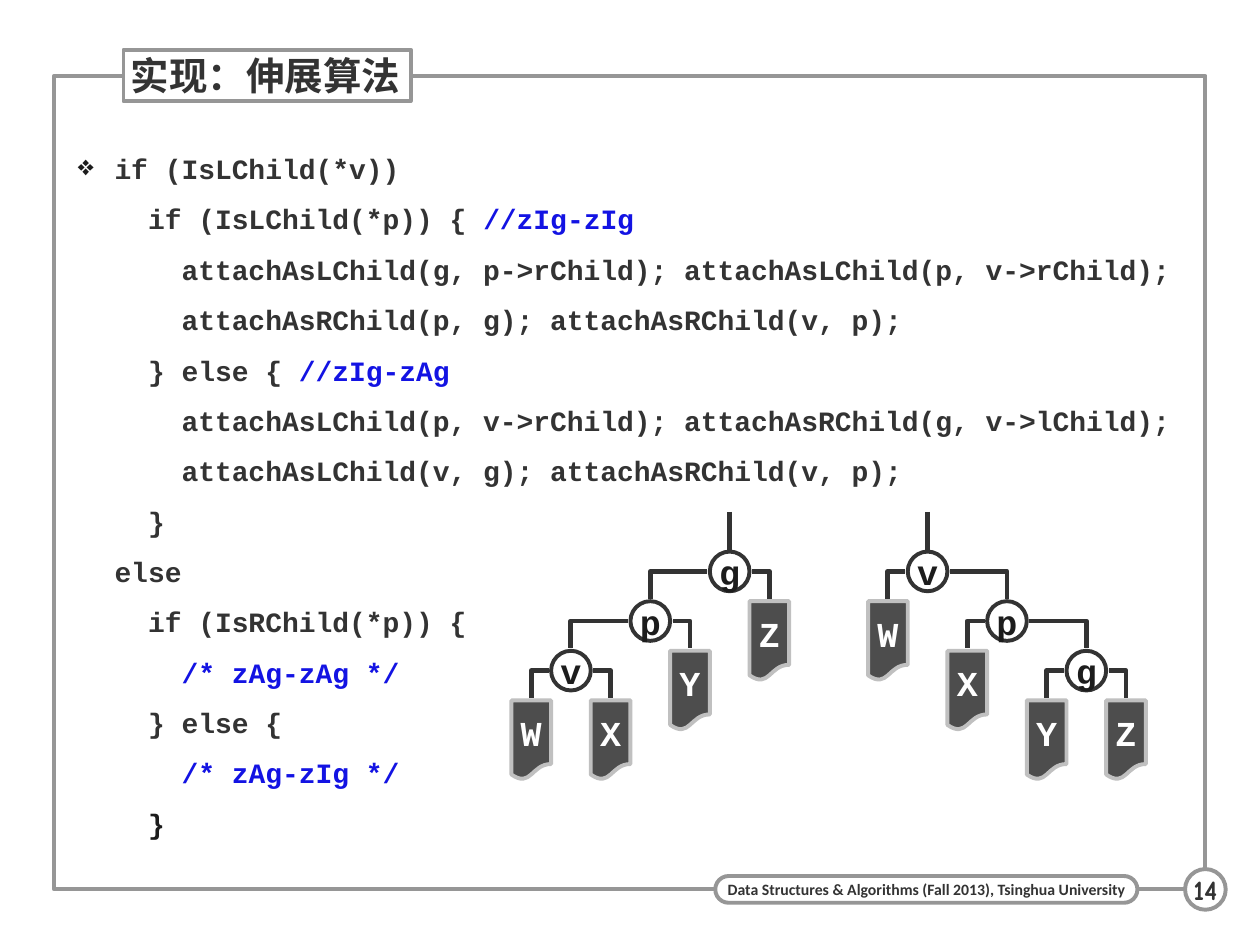
from copy import deepcopy

from lxml import etree
from pptx import Presentation
from pptx.dml.color import RGBColor
from pptx.enum.shapes import MSO_CONNECTOR, MSO_SHAPE
from pptx.enum.text import MSO_ANCHOR, PP_ALIGN
from pptx.oxml.ns import qn
from pptx.util import Cm, Pt

RECTANGLE, ROUNDED = MSO_SHAPE.RECTANGLE, MSO_SHAPE.ROUNDED_RECTANGLE
OVAL, DOCUMENT = MSO_SHAPE.OVAL, MSO_SHAPE.FLOWCHART_DOCUMENT
STRAIGHT, ELBOW = MSO_CONNECTOR.STRAIGHT, MSO_CONNECTOR.ELBOW
LEFT, CENTER, MIDDLE = PP_ALIGN.LEFT, PP_ALIGN.CENTER, MSO_ANCHOR.MIDDLE

COLORS = {
    "paper": "FFFFFF", "frame": "969696", "text": "333333", "ink": "1C1C1C",
    "comment": "1313E3", "leaf": "4D4D4D", "leaf_edge": "C0C0C0",
}
CODE_FONT = "Courier New"

# Code as (text, colour) pieces
CODE = [
    ("if (IsLChild(*v))\n  if (IsLChild(*p)) { ", "text"),
    ("//zIg-zIg\n", "comment"),
    ("    attachAsLChild(g, p->rChild); attachAsLChild(p, v->rChild);\n"
     "    attachAsRChild(p, g); attachAsRChild(v, p);\n"
     "  } else { ", "text"),
    ("//zIg-zAg\n", "comment"),
    ("    attachAsLChild(p, v->rChild); attachAsRChild(g, v->lChild);\n"
     "    attachAsLChild(v, g); attachAsRChild(v, p);\n"
     "  }\nelse\n  if (IsRChild(*p)) {\n    ", "text"),
    ("/* zAg-zAg */\n", "comment"),
    ("  } else {\n    ", "text"),
    ("/* zAg-zIg */\n", "comment"),
    ("  }", "ink"),
]

# Trees as (node, left, right); a plain string is a subtree leaf
TREE_BEFORE = ("g", ("p", ("v", "W", "X"), "Y"), "Z")
TREE_AFTER = ("v", "W", ("p", "X", ("g", "Y", "Z")))
COLUMN, ROW = 0.8, 1.0      # tree grid, in cm
NODE, LEAF_HEIGHT = 0.8, 1.6
STEM = 1.2


def color(name):
    return RGBColor.from_string(COLORS[name])


def add_run(paragraph, text, size, font, color_name):
    run = paragraph.add_run()
    run.text = text
    run.font.size, run.font.name, run.font.bold = Pt(size), font, True
    run.font.color.rgb = color(color_name)
    return run


def add_box(slide, kind, box, fill, line):
    shape = slide.shapes.add_shape(kind, *(Cm(length) for length in box))
    shape.shadow.inherit = False
    if fill:
        shape.fill.solid()
        shape.fill.fore_color.rgb = color(fill)
    else:
        shape.fill.background()
    shape.line.color.rgb = color(line)
    shape.line.width = Pt(2.25)
    return shape


def add_label(shape, text, size, font, color_name, align=CENTER, margin=0):
    frame = shape.text_frame
    frame.margin_left = frame.margin_right = Cm(margin)
    frame.margin_top = frame.margin_bottom = 0
    frame.vertical_anchor = MIDDLE
    frame.word_wrap = False
    paragraph = frame.paragraphs[0]
    paragraph.alignment = align
    add_run(paragraph, text, size, font, color_name)


def add_line(slide, kind, start, end):
    connector = slide.shapes.add_connector(
        kind, *(Cm(length) for length in (*start, *end)))
    connector.line.color.rgb = color("text")
    connector.line.width = Pt(2.75)
    properties = connector._element.spPr
    etree.SubElement(properties, qn("a:effectLst"))
    if kind == ELBOW:   # a single corner: across, then down
        properties.find(qn("a:prstGeom")).set("prst", "bentConnector2")


def add_frame(slide, left, top, width, height):
    add_box(slide, RECTANGLE, (left, top, width, height), None, "frame")
    right, bottom = left + width, top + height
    # Title on the top edge
    title = add_box(slide, RECTANGLE, (left + 1.4, top - 0.53, 5.79, 1.04),
                    "paper", "frame")
    add_label(title, "实现：伸展算法", 22, CODE_FONT, "text", LEFT, 0.15)
    # Course name and page number on the bottom edge
    course = add_box(slide, ROUNDED, (right - 9.88, bottom - 0.27, 8.51, 0.54),
                     "paper", "frame")
    course.adjustments[0] = 0.5
    add_label(course, "Data Structures & Algorithms (Fall 2013), Tsinghua University",
              9, "Calibri", "text")
    page = add_box(slide, OVAL, (right - 0.41, bottom - 0.41, 0.82, 0.82),
                   "paper", "frame")
    add_label(page, "14", 16, "Comic Neue", "text")


def add_code(slide, left, top, width, height):
    box = slide.shapes.add_textbox(Cm(left), Cm(top), Cm(width), Cm(height))
    frame = box.text_frame
    frame.word_wrap = True
    frame.margin_left, frame.margin_right = Cm(0.4), 0
    frame.margin_top = frame.margin_bottom = Cm(0.2)
    paragraph = frame.paragraphs[0]
    paragraph.line_spacing = 1.5
    # Hanging diamond bullet
    properties = paragraph._p.get_or_add_pPr()
    properties.set("marL", str(Cm(0.74)))
    properties.set("indent", str(-Cm(0.74)))
    bullet_color = etree.SubElement(properties, qn("a:buClr"))
    etree.SubElement(bullet_color, qn("a:srgbClr")).set("val", COLORS["ink"])
    etree.SubElement(properties, qn("a:buChar")).set("char", "❖")
    for text, color_name in CODE:
        for number, line in enumerate(text.split("\n")):
            if number:
                # The break takes the format of the run before it
                paragraph.add_line_break()
                paragraph._p[-1].append(deepcopy(run._r.rPr))
            if line:
                run = add_run(paragraph, line, 16, CODE_FONT, color_name)


def count_parts(tree):
    return 1 if isinstance(tree, str) else 1 + sum(map(count_parts, tree[1:]))


def add_tree(slide, tree, left, top):
    """Place parts in in-order columns; left is the first column's centre."""
    if isinstance(tree, str):
        leaf = add_box(slide, DOCUMENT, (left - NODE / 2, top, NODE, LEAF_HEIGHT),
                       "leaf", "leaf_edge")
        add_label(leaf, tree, 20, CODE_FONT, "paper")
        return left
    name, left_child, right_child = tree
    center = left + COLUMN * count_parts(left_child)
    middle = top + NODE / 2
    node = add_box(slide, OVAL, (center - NODE / 2, top, NODE, NODE),
                   "paper", "text")
    add_label(node, name, 20, CODE_FONT, "ink")
    child_top = top + ROW
    for child, child_left, side in ((left_child, left, -1),
                                    (right_child, center + COLUMN, 1)):
        child_center = add_tree(slide, child, child_left, child_top)
        add_line(slide, ELBOW, (center + side * 0.45, middle),
                 (child_center, child_top - 0.05))
    return center


def add_rooted_tree(slide, tree, left, top):
    root = add_tree(slide, tree, left, top + STEM - NODE / 2)
    add_line(slide, STRAIGHT, (root, top), (root, top + 0.78))


def main():
    presentation = Presentation()
    presentation.slide_width, presentation.slide_height = Cm(25.4), Cm(19.05)
    slide = presentation.slides.add_slide(presentation.slide_layouts[6])
    add_frame(slide, 1.09, 1.53, 23.21, 16.4)
    add_code(slide, 1.17, 2.52, 23.14, 14.8)
    add_rooted_tree(slide, TREE_BEFORE, 10.71, 10.32)
    add_rooted_tree(slide, TREE_AFTER, 17.9, 10.32)
    presentation.save("out.pptx")


if __name__ == "__main__":
    main()
